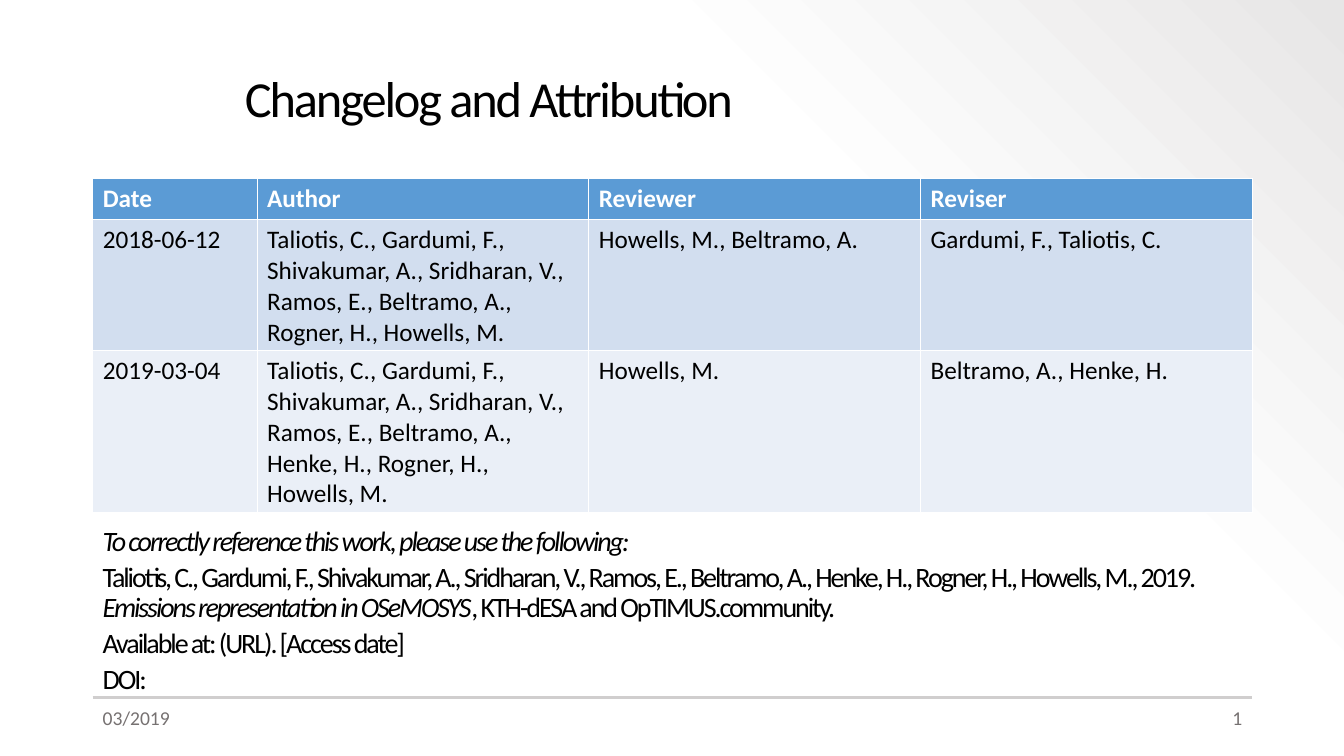
"""Build the changelog and attribution slide."""
from lxml import etree
from pptx import Presentation
from pptx.dml.color import RGBColor
from pptx.enum.shapes import MSO_CONNECTOR
from pptx.enum.text import MSO_ANCHOR, PP_ALIGN
from pptx.oxml.ns import qn
from pptx.util import Inches, Pt

STRAIGHT = MSO_CONNECTOR.STRAIGHT
TOP, MIDDLE, BOTTOM = MSO_ANCHOR.TOP, MSO_ANCHOR.MIDDLE, MSO_ANCHOR.BOTTOM
LEFT, RIGHT = PP_ALIGN.LEFT, PP_ALIGN.RIGHT

COLORS = {
    "text": "000000", "footer": "767171", "rule": "D0CECE",
    "header": "5B9BD5", "header_text": "FFFFFF",
    "band_dark": "D2DEEF", "band_light": "EAEFF7",
}
BACKDROP = [(0, "FFFFFF"), (69, "FDFDFD"), (100, "E7E6E6")]
MARGIN, CONTENT_WIDTH = 0.92, 11.5
CONTENT_RIGHT = MARGIN + CONTENT_WIDTH
DATE_COLUMN = 1.63
PERSON_COLUMN = (CONTENT_WIDTH - DATE_COLUMN) / 3
ROW_HEIGHTS = [0.41, 1.3, 1.6]
RULE_TOP, FOOTER_TOP, FOOTER_WIDTH = 6.92, 6.95, 1.3


def style_font(font, size, color, bold=False):
    font.name, font.size, font.bold = "Calibri", Pt(size), bold
    font.color.rgb = RGBColor.from_string(COLORS[color])


def add_text(place, paragraphs, size, color, anchor=TOP, align=LEFT,
             line_spacing=1.0, gap=0, tracking=0):
    box = slide.shapes.add_textbox(*[Inches(length) for length in place])
    frame = box.text_frame
    frame.word_wrap, frame.vertical_anchor = True, anchor
    for index, spans in enumerate(paragraphs):
        para = frame.add_paragraph() if index else frame.paragraphs[0]
        para.alignment, para.line_spacing = align, line_spacing
        para.space_before = Pt(gap if index else 0)
        style_font(para.font, size, color)
        for text, italic in spans:
            span = para.add_run()
            span.text, span.font.italic = text, italic
            if tracking:
                span.font._element.set("spc", str(int(tracking * 100)))


deck = Presentation()
deck.slide_width, deck.slide_height = Inches(13.33), Inches(7.5)
slide = deck.slides.add_slide(deck.slide_layouts[6])

backdrop = slide.background.fill
backdrop.gradient()
backdrop.gradient_angle = 45
stops = slide._element.find(".//" + qn("a:gsLst"))
for stop in list(stops):
    stops.remove(stop)
for position, color in BACKDROP:
    stop = etree.SubElement(stops, qn("a:gs"), pos=str(position * 1000))
    etree.SubElement(stop, qn("a:srgbClr"), val=color)

rule = slide.shapes.add_connector(
    STRAIGHT, Inches(MARGIN), Inches(RULE_TOP), Inches(CONTENT_RIGHT), Inches(RULE_TOP))
rule.line.width = Pt(1.5)
rule.line.color.rgb = RGBColor.from_string(COLORS["rule"])
etree.SubElement(rule._element.spPr, qn("a:effectLst"))

citation = [
    [("To correctly reference this work, please use the following:", True)],
    [("Taliotis, C., Gardumi, F., Shivakumar, A., Sridharan, V., Ramos, E., "
      "Beltramo, A., Henke, H., Rogner, H., Howells, M., 2019. ", False),
     ("Emissions representation in OSeMOSYS", True),
     (", KTH-dESA and OpTIMUS.community.", False)],
    [("Available at: (URL). [Access date]", False)],
    [("DOI:", False)],
]
add_text((MARGIN, 5.02, CONTENT_WIDTH, 1.93), citation, 20, "text",
         anchor=BOTTOM, line_spacing=0.9, gap=4, tracking=-1.5)

changes = [
    ["Date", "Author", "Reviewer", "Reviser"],
    ["2018-06-12",
     "Taliotis, C., Gardumi, F., Shivakumar, A., Sridharan, V., Ramos, E., "
     "Beltramo, A., Rogner, H., Howells, M.",
     "Howells, M., Beltramo, A.", "Gardumi, F., Taliotis, C."],
    ["2019-03-04",
     "Taliotis, C., Gardumi, F., Shivakumar, A., Sridharan, V., Ramos, E., "
     "Beltramo, A., Henke, H., Rogner, H., Howells, M.",
     "Howells, M.", "Beltramo, A., Henke, H."],
]
table = slide.shapes.add_table(
    len(changes), len(changes[0]), Inches(MARGIN), Inches(1.77),
    Inches(CONTENT_WIDTH), Inches(sum(ROW_HEIGHTS))).table
for index, column in enumerate(table.columns):
    column.width = Inches(PERSON_COLUMN if index else DATE_COLUMN)
for row, height, entries, fill in zip(
        table.rows, ROW_HEIGHTS, changes, ["header", "band_dark", "band_light"]):
    row.height = Inches(height)
    is_header = fill == "header"
    for cell, entry in zip(row.cells, entries):
        cell.text = entry
        cell.fill.solid()
        cell.fill.fore_color.rgb = RGBColor.from_string(COLORS[fill])
        style_font(cell.text_frame.paragraphs[0].font, 18,
                   "header_text" if is_header else "text", bold=is_header)

add_text((CONTENT_RIGHT - FOOTER_WIDTH, FOOTER_TOP, FOOTER_WIDTH, 0.4),
         [[("1", False)]], 14, "footer", align=RIGHT)
add_text((MARGIN, FOOTER_TOP, FOOTER_WIDTH, 0.4), [[("03/2019", False)]], 14, "footer")
add_text((2.33, 0.4, 10.08, 1.2), [[("Changelog and Attribution", False)]], 36, "text",
         anchor=MIDDLE, line_spacing=0.9, tracking=-1.5)

deck.save("out.pptx")
